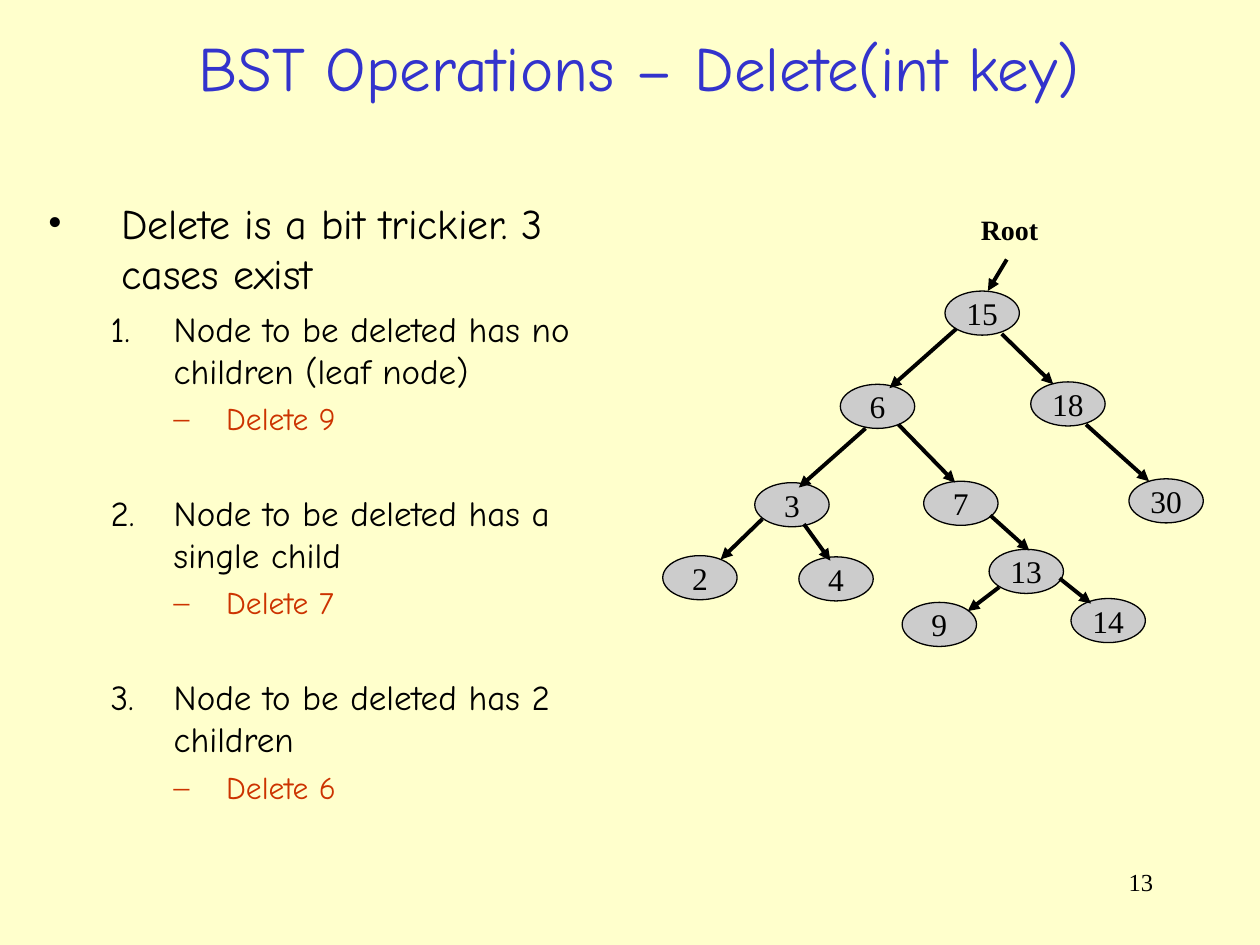
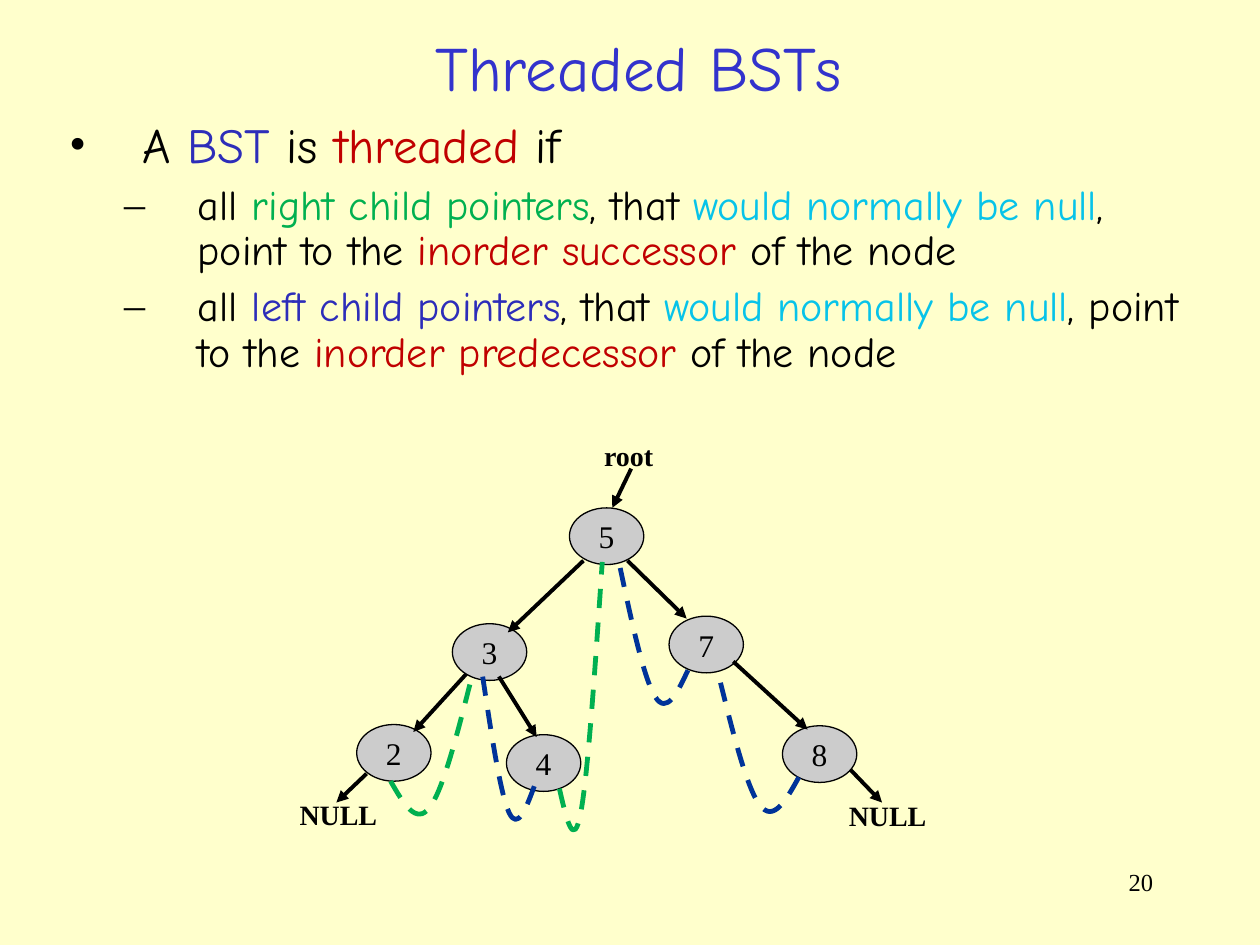
import pptx
import pptx.util
import pptx.dml.color
import pptx.enum.dml
import pptx.enum.shapes
import pptx.enum.text
import pptx.oxml
import pptx.oxml.ns
from lxml import etree

Pt = pptx.util.Pt
RGBColor = pptx.dml.color.RGBColor
ALIGN = pptx.enum.text.PP_ALIGN
ANCHOR = pptx.enum.text.MSO_ANCHOR
AUTO_SIZE = pptx.enum.text.MSO_AUTO_SIZE
qn = pptx.oxml.ns.qn

CREAM = RGBColor(0xFF, 0xFF, 0xCC)
BLACK = RGBColor(0, 0, 0)
TITLE_BLUE = RGBColor(0x33, 0x33, 0xCC)
TERM_BLUE = RGBColor(0x2D, 0x2D, 0xB9)
THREAD_BLUE = RGBColor(0, 0x33, 0x99)
GREEN = RGBColor(0, 0xB0, 0x50)
CYAN = RGBColor(0x07, 0xC3, 0xE9)
DARK_RED = RGBColor(0xC0, 0, 0)
ORANGE_RED = RGBColor(0xCC, 0x33, 0)
NODE_GREY = RGBColor(0xCC, 0xCC, 0xCC)

HAND_FONT = "Comic Neue"
SERIF_FONT = "Times New Roman"

TITLE_BOX = (21.6, 10.8, 686.9, 54.7)
NUMBER_BOX = (516.2, 491.8, 149.8, 36)
LABEL_HEIGHT = 26.6


def style_run(span, size, color, font, bold=False):
    span.font.size = Pt(size)
    span.font.name = font
    span.font.bold = bold
    span.font.color.rgb = color


def add_text(slide, box, text, size, color=BLACK, font=SERIF_FONT, bold=False,
             align=ALIGN.LEFT, anchor=ANCHOR.TOP, wrap=True):
    frame = slide.shapes.add_textbox(*map(Pt, box)).text_frame
    frame.word_wrap = wrap
    frame.auto_size = AUTO_SIZE.NONE if wrap else AUTO_SIZE.SHAPE_TO_FIT_TEXT
    frame.vertical_anchor = anchor
    para = frame.paragraphs[0]
    para.text = text
    para.alignment = align
    style_run(para.runs[0], size, color, font, bold)


def add_base_slide(deck, title, number):
    slide = deck.slides.add_slide(deck.slide_layouts[6])
    slide.background.fill.solid()
    slide.background.fill.fore_color.rgb = CREAM
    add_text(slide, NUMBER_BOX, number, 14, align=ALIGN.RIGHT)
    add_text(slide, TITLE_BOX, title, 36, TITLE_BLUE, HAND_FONT,
             align=ALIGN.CENTER, anchor=ANCHOR.MIDDLE)
    return slide


def set_bullet(para, mark, color, margin, hang):
    props = para._p.get_or_add_pPr()
    props.set("marL", str(Pt(margin)))
    props.set("indent", str(-Pt(hang)))
    tint = etree.SubElement(props, qn("a:buClr"))
    etree.SubElement(tint, qn("a:srgbClr")).set("val", str(color))
    if isinstance(mark, int):
        number = etree.SubElement(props, qn("a:buAutoNum"))
        number.set("type", "arabicPeriod")
        number.set("startAt", str(mark))
    else:
        etree.SubElement(props, qn("a:buFont")).set("typeface", SERIF_FONT)
        etree.SubElement(props, qn("a:buChar")).set("char", mark)


def add_outline(slide, box, items, levels, line_spacing=None):
    frame = slide.shapes.add_textbox(*map(Pt, box)).text_frame
    frame.word_wrap = True
    for index, (level, mark, spans, extra_gap) in enumerate(items):
        size, gap, margin, hang = levels[level]
        para = frame.paragraphs[0] if index == 0 else frame.add_paragraph()
        para.level = level
        para.space_before = Pt(gap + extra_gap)
        if line_spacing:
            para.line_spacing = line_spacing
        set_bullet(para, mark, spans[0][1], margin, hang)
        for text, color in spans:
            span = para.add_run()
            span.text = text
            style_run(span, size, color, HAND_FONT)


def add_node(slide, box, text):
    node = slide.shapes.add_shape(pptx.enum.shapes.MSO_SHAPE.OVAL, *map(Pt, box))
    node.shadow.inherit = False
    node.fill.solid()
    node.fill.fore_color.rgb = NODE_GREY
    node.line.color.rgb = BLACK
    node.line.width = Pt(0.75)
    frame = node.text_frame
    frame.word_wrap = False
    frame.vertical_anchor = ANCHOR.MIDDLE
    para = frame.paragraphs[0]
    para.text = text
    para.alignment = ALIGN.CENTER
    style_run(para.runs[0], 18, BLACK, SERIF_FONT)


def add_arrow(slide, start, end):
    arrow = slide.shapes.add_connector(
        pptx.enum.shapes.MSO_CONNECTOR.STRAIGHT, *map(Pt, start + end))
    arrow.line.color.rgb = BLACK
    arrow.line.width = Pt(2.25)
    etree.SubElement(arrow.line._get_or_add_ln(), qn("a:tailEnd")).set("type", "triangle")
    etree.SubElement(arrow._element.spPr, qn("a:effectLst"))


def add_thread(slide, start, middle, end, color):
    def midpoint(first, second):
        return tuple((a + b) / 2 for a, b in zip(first, second))

    slope = [(b - a) / 6 for a, b in zip(start, end)]
    before = tuple(m - s for m, s in zip(middle, slope))
    after = tuple(m + s for m, s in zip(middle, slope))
    points = [midpoint(start, before), before, middle, after, midpoint(after, end), end]
    builder = slide.shapes.build_freeform(*map(Pt, start))
    builder.add_line_segments([tuple(map(Pt, point)) for point in points], close=False)
    thread = builder.convert_to_shape()
    segments = list(thread._element.iter(qn("a:lnTo")))
    for first in range(0, len(segments), 3):
        group = segments[first:first + 3]
        curve = etree.Element(qn("a:cubicBezTo"))
        group[0].addprevious(curve)
        for segment in group:
            curve.append(segment[0])
            segment.getparent().remove(segment)
    thread.shadow.inherit = False
    thread.fill.background()
    thread.line.color.rgb = color
    thread.line.width = Pt(2.75)
    thread.line.dash_style = pptx.enum.dml.MSO_LINE.DASH


def add_tree(slide, origin, node_size, nodes, arrows, labels, threads=()):
    def place(point):
        return origin[0] + point[0], origin[1] + point[1]

    for text, corner in nodes.items():
        add_node(slide, place(corner) + node_size, text)
    for start, end in arrows:
        add_arrow(slide, place(start), place(end))
    for start, middle, end, color in threads:
        add_thread(slide, place(start), place(middle), place(end), color)
    for text, corner, width in labels:
        add_text(slide, place(corner) + (width, LABEL_HEIGHT), text, 16,
                 bold=True, wrap=False)


def build_delete_slide(deck):
    slide = add_base_slide(deck, "BST Operations – Delete(int key)", "13")
    cases = [
        ("Node to be deleted has no children (leaf node)", "Delete 9"),
        ("Node to be deleted has a single child", "Delete 7"),
        ("Node to be deleted has 2 children", "Delete 6"),
    ]
    items = [(0, "•", [("Delete is a bit trickier. 3 cases exist", BLACK)], 0)]
    for number, (case, example) in enumerate(cases, 1):
        items.append((1, number, [(case, BLACK)], 26.2 if number > 1 else 0))
        items.append((2, "–", [(example, ORANGE_RED)], 0))
    levels = [(24, 6, 42, 42), (20, 5, 72, 36), (18, 4.5, 102, 30)]
    add_outline(slide, (20.2, 109.4, 336.2, 365), items, levels)

    nodes = {
        "15": (162, 48.3), "6": (102.2, 101.6), "18": (211, 100.2),
        "30": (267.1, 155.6), "3": (53.3, 157.8), "7": (149.8, 157),
        "2": (0.7, 199.5), "4": (78.5, 200.2), "13": (187.2, 195.9),
        "9": (137.5, 226.2), "14": (234, 224),
    }
    arrows = [
        ((197.3, 30.3), (186.5, 48.3)),
        ((168.5, 69.9), (130.3, 103.8)),
        ((194.4, 72.8), (223.9, 101.6)),
        ((242.6, 124.6), (278.6, 157)),
        ((116.6, 126.8), (78.5, 160.6)),
        ((135.4, 124.6), (167.8, 157.8)),
        ((57.6, 178.6), (33.8, 201.7)),
        ((81.4, 181.5), (96.5, 202.4)),
        ((187.9, 176.5), (210.2, 196.6)),
        ((193, 217.5), (175, 231.2)),
        ((227.5, 212.5), (245.5, 226.9)),
    ]
    add_tree(slide, (378, 118), (42.5, 25.2), nodes, arrows, [("Root", (175.4, 0), 47.6)])


def build_threaded_slide(deck):
    slide = add_base_slide(deck, "Threaded BSTs", "20")
    items = [(0, "•", [("A ", BLACK), ("BST", TERM_BLUE), (" is ", BLACK),
                       ("threaded", DARK_RED), (" if", BLACK)], 0)]
    for side, color, target in [("right", GREEN, "successor"),
                                ("left", TERM_BLUE, "predecessor")]:
        items.append((1, "–", [
            ("all ", BLACK), (f"{side} child pointers", color), (", that ", BLACK),
            ("would normally be null", CYAN), (", point to the ", BLACK),
            (f"inorder {target} ", DARK_RED), ("of the node", BLACK)], 0))
    levels = [(28, 7, 42, 42), (24, 6, 73.5, 42)]
    add_outline(slide, (32.4, 65.5, 663.8, 159.1), items, levels, 0.9)

    nodes = {
        "5": (161.4, 43.2), "3": (94.5, 109.4), "7": (218.3, 105.1),
        "8": (283.1, 167.7), "2": (39.8, 167), "4": (125.4, 172.8),
    }
    arrows = [
        ((196.7, 20.8), (185.9, 43.2)),
        ((169.4, 73.4), (126.2, 114.4)),
        ((194.6, 73.4), (228.4, 106.5)),
        ((255, 131), (297.5, 169.9)),
        ((102.4, 138.2), (72.2, 171.3)),
        ((121.1, 139.6), (142.7, 174.2)),
        ((45.5, 195.1), (28.2, 211.6)),
        ((322, 192.9), (340, 211.6)),
    ]
    threads = [
        ((59.2, 199.4), (81.5, 214.5), (106, 138.2), GREEN),
        ((141.3, 202.3), (126.9, 217.4), (111.8, 139.6), THREAD_BLUE),
        ((155.7, 203.7), (167.9, 217.4), (180.2, 74.1), GREEN),
        ((229.1, 136), (210.4, 151.2), (189.5, 73.4), THREAD_BLUE),
        ((292.5, 197.2), (270.2, 213.1), (245.9, 135.6), THREAD_BLUE),
    ]
    labels = [("root", (174.1, 0.3), 43.2), ("NULL", (0.1, 205.2), 58.8),
              ("NULL", (314, 205.9), 58.8)]
    add_tree(slide, (164, 247), (42.5, 32.4), nodes, arrows, labels, threads)


def main():
    deck = pptx.Presentation()
    deck.slide_width = Pt(720)
    deck.slide_height = Pt(540)
    build_delete_slide(deck)
    build_threaded_slide(deck)
    deck.save("out.pptx")


if __name__ == "__main__":
    main()
